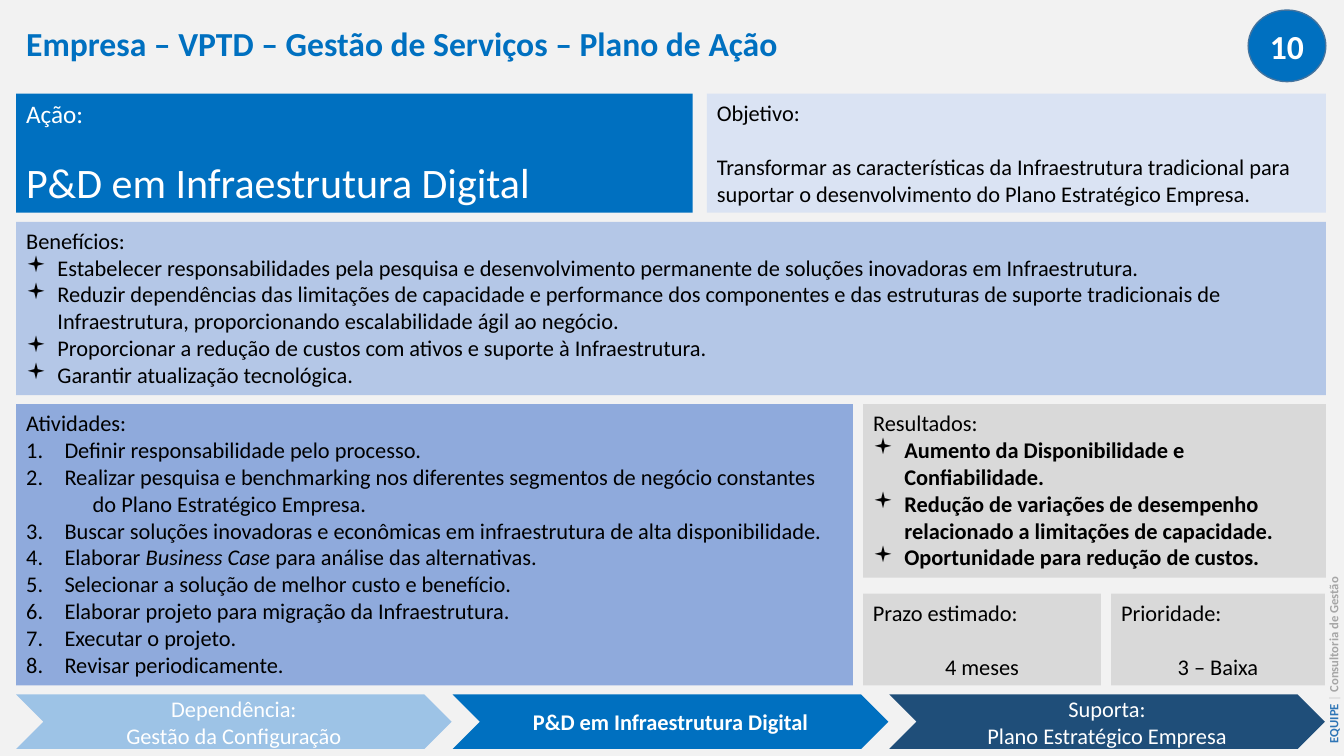
from pptx import Presentation
from pptx.dml.color import RGBColor
from pptx.enum.shapes import MSO_SHAPE
from pptx.enum.text import MSO_ANCHOR, MSO_AUTO_SIZE, PP_ALIGN
from pptx.oxml.ns import qn
from pptx.util import Emu, Inches, Pt
from lxml.etree import SubElement

BLUE, GRAY, BLACK, WHITE = "0070C0", "D9D9D9", "000000", "FFFFFF"
LEFT, RIGHT = 0.16, 13.15
ROWS = {"top": (0.93, 1.18), "gains": (2.2, 1.72), "tasks": (4.01, 2.79),
        "results": (4.01, 1.72), "facts": (5.89, 0.91), "chain": (6.89, 0.54)}
SIDE = 8.56

TITLE = "Empresa – VPTD – Gestão de Serviços – Plano de Ação"
NUMBER = "10"
CREDIT = [("EQUIPE ", "2E75B6"), ("| ", GRAY), ("Consultoria de Gestão", "A6A6A6")]
ACTION = ["Ação:", "P&D em Infraestrutura Digital"]
GOAL = ["Objetivo:",
        "Transformar as características da Infraestrutura tradicional para "
        "suportar o desenvolvimento do Plano Estratégico Empresa."]
GAINS = ["Benefícios:",
         "Estabelecer responsabilidades pela pesquisa e desenvolvimento permanente "
         "de soluções inovadoras em Infraestrutura.",
         "Reduzir dependências das limitações de capacidade e performance dos "
         "componentes e das estruturas de suporte tradicionais de Infraestrutura, "
         "proporcionando escalabilidade ágil ao negócio.",
         "Proporcionar a redução de custos com ativos e suporte à Infraestrutura.",
         "Garantir atualização tecnológica."]
TASKS = ["Atividades:",
         "Definir responsabilidade pelo processo.",
         "Realizar pesquisa e benchmarking nos diferentes segmentos de negócio "
         "constantes\v\tdo Plano Estratégico Empresa.",
         "Buscar soluções inovadoras e econômicas em infraestrutura de alta disponibilidade.",
         "Elaborar *Business Case* para análise das alternativas.",
         "Selecionar a solução de melhor custo e benefício.",
         "Elaborar projeto para migração da Infraestrutura.",
         "Executar o projeto.",
         "Revisar periodicamente."]
RESULTS = ["Resultados:",
           "Aumento da Disponibilidade e Confiabilidade.",
           "Redução de variações de desempenho relacionado a limitações de capacidade.",
           "Oportunidade para redução de custos."]
FACTS = [(["Prazo estimado:", "4 meses"], SIDE, 2.36),
         (["Prioridade:", "3 – Baixa"], 11.02, 2.12)]
CHAIN = [(["Dependência:", "Gestão da Configuração"], "9DC3E6", False),
         (["P&D em Infraestrutura Digital"], BLUE, True),
         (["Suporta:", "Plano Estratégico Empresa"], "1F4E79", False)]


def rgb(code):
    return RGBColor.from_string(code)


def place(box, x, y, w, h):
    box.left, box.top, box.width, box.height = (Inches(v) for v in (x, y, w, h))


def style(font, size, color, bold=False):
    font.name, font.size, font.bold = "Calibri", Pt(size), bold
    font.color.rgb = rgb(color)


def mark(par, kind, indent):
    """Set the bullet and hanging indent; kind is None, a sign or 'num'."""
    props = par._p.get_or_add_pPr()
    props.set("marL", str(Inches(indent)))
    props.set("indent", str(-Inches(indent)))
    if kind is None:
        SubElement(props, qn("a:buNone"))
    elif kind == "num":
        SubElement(props, qn("a:buFont"), typeface="+mj-lt")
        SubElement(props, qn("a:buAutoNum"), type="arabicPeriod")
    else:
        SubElement(props, qn("a:buFont"), typeface="Wingdings")
        SubElement(props, qn("a:buChar"), char=kind)
    if "\t" in par.text:
        tabs = SubElement(props, qn("a:tabLst"))
        SubElement(tabs, qn("a:tab"), pos=str(Inches(0.66)), algn="l")


def write(box, lines, color, size=16, bold=False, align=PP_ALIGN.LEFT,
          anchor=MSO_ANCHOR.TOP):
    frame = box.text_frame
    frame.word_wrap, frame.auto_size = True, MSO_AUTO_SIZE.NONE
    frame.vertical_anchor = anchor
    for n, line in enumerate(lines):
        par = frame.add_paragraph() if n else frame.paragraphs[0]
        if "*" in line:
            for k, part in enumerate(line.split("*")):
                run = par.add_run()
                run.text, run.font.italic = part, k % 2 == 1
        else:
            par.text = line
        par.alignment, par.space_before = align, Pt(0)
        for run in par.runs:
            style(run.font, size, color, bold)
    return frame.paragraphs


def fill(box, color):
    box.fill.solid()
    box.fill.fore_color.rgb = rgb(color)
    box.line.fill.background()


def draw(slide, form, spot, color):
    box = slide.shapes.add_shape(form, *(Inches(v) for v in spot))
    box.shadow.inherit = False
    fill(box, color)
    return box


def panel(box, spot, color, lines, kind=None, indent=0, bold=False):
    """Turn a body placeholder into a filled panel: heading, then items."""
    place(box, *spot)
    fill(box, color)
    pars = write(box, lines, BLACK)
    for n, par in enumerate(pars):
        mark(par, kind if n else None, indent if n else 0)
        for run in par.runs:
            run.font.bold = bold and n > 0
    return pars


def main():
    deck = Presentation()
    deck.slide_width, deck.slide_height = Inches(13.33), Inches(7.5)
    slide = deck.slides.add_slide(deck.slide_layouts[4])
    slide.background.fill.solid()
    slide.background.fill.fore_color.rgb = rgb("F2F2F2")
    title, goal, gains, tasks, results = slide.placeholders

    place(title, LEFT, -0.02, 10.93, 0.94)
    write(title, [TITLE], BLUE, 24, True,
          anchor=MSO_ANCHOR.MIDDLE)[0].line_spacing = 0.9

    action = draw(slide, MSO_SHAPE.RECTANGLE, (LEFT, ROWS["top"][0], 6.71, ROWS["top"][1]), BLUE)
    label, name = write(action, ACTION, WHITE, 18)
    name.space_before = Pt(19.5)
    name.runs[0].font.size = Pt(30)

    wide = RIGHT - LEFT
    top, high = ROWS["top"]
    pars = panel(goal, (7.01, top, RIGHT - 7.01, high), "DAE3F3", GOAL)
    pars[1].space_before = Pt(19.5)
    top, high = ROWS["gains"]
    panel(gains, (LEFT, top, wide, high), "B4C7E7", GAINS, "▪", 0.31)
    top, high = ROWS["tasks"]
    panel(tasks, (LEFT, top, 8.3, high), "8FAADC", TASKS, "num", 0.38)
    top, high = ROWS["results"]
    panel(results, (SIDE, top, RIGHT - SIDE, high), GRAY, RESULTS, "▪", 0.31, True)

    top, high = ROWS["facts"]
    for lines, x, w in FACTS:
        box = draw(slide, MSO_SHAPE.RECTANGLE, (x, top, w, high), GRAY)
        value = write(box, lines, BLACK)[1]
        value.alignment, value.space_before = PP_ALIGN.CENTER, Pt(19.5)

    top, high = ROWS["chain"]
    for n, (lines, color, bold) in enumerate(CHAIN):
        box = draw(slide, MSO_SHAPE.CHEVRON, (LEFT + n * 4.33, top, 4.32, high), color)
        write(box, lines, WHITE, 16, bold, PP_ALIGN.CENTER, MSO_ANCHOR.MIDDLE)

    badge = draw(slide, MSO_SHAPE.FLOWCHART_CONNECTOR, (12.38, 0.1, 0.77, 0.71), BLUE)
    badge.line.color.rgb, badge.line.width = rgb("43739E"), Pt(1)
    write(badge, [NUMBER], WHITE, 24, True, PP_ALIGN.CENTER, MSO_ANCHOR.MIDDLE)

    credit = slide.shapes.add_textbox(*(Inches(v) for v in (12.26, 6.38, 1.93, 0.25)))
    credit.rotation = 270
    credit.text_frame.word_wrap = True
    for text, color in CREDIT:
        run = credit.text_frame.paragraphs[0].add_run()
        run.text = text
        style(run.font, 9, color, True)

    deck.save("out.pptx")


if __name__ == "__main__":
    main()
